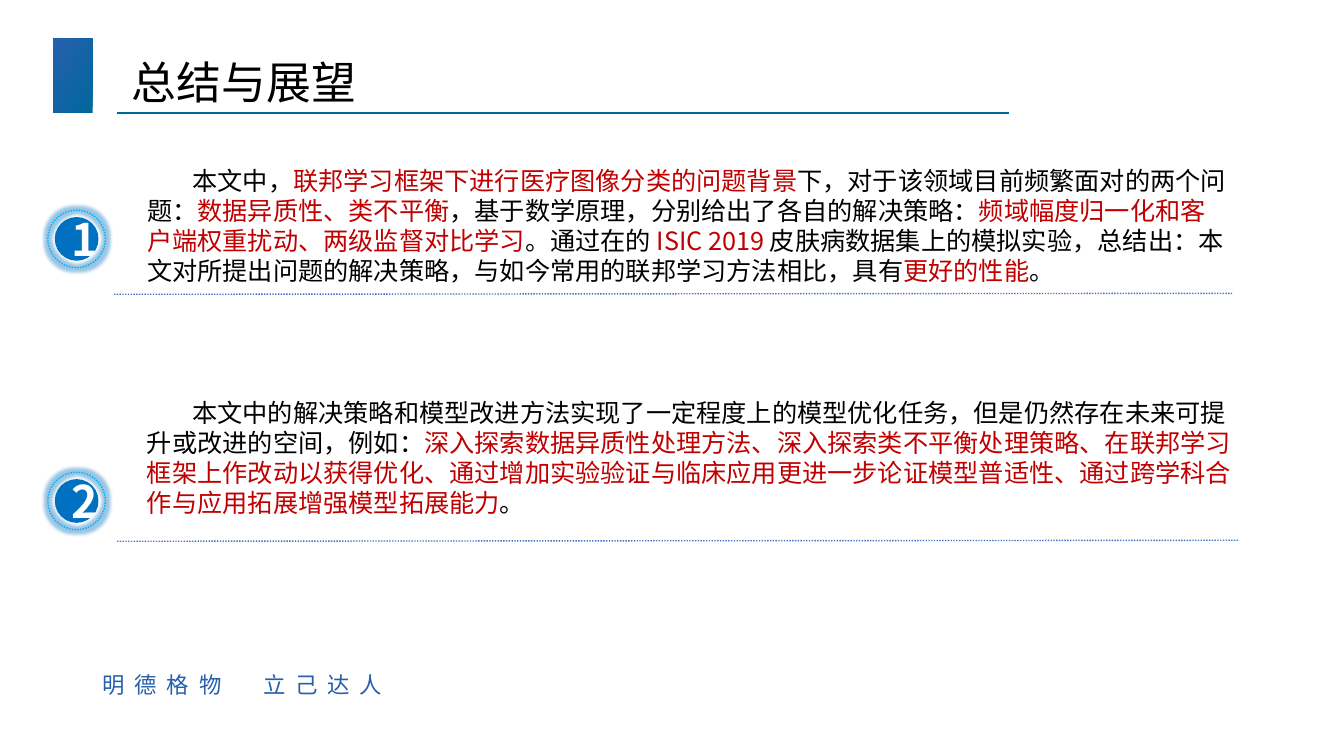
from lxml import etree
from pptx import Presentation
from pptx import util as u
from pptx.dml.color import RGBColor
from pptx.enum import dml, shapes, text
from pptx.oxml.ns import qn

FONT = "Noto Sans CJK SC"
COLORS = {"teal": "00679C", "blue": "2660AD", "disc": "0070C0", "ring": "00B0F0",
          "rule": "4472C4", "black": "000000", "red": "C00000", "white": "FFFFFF"}
TITLE = "总结与展望"
MOTTO = "明德格物　立己达人"
# Each point alternates black and red runs, starting with black.
POINTS = [
    {"marker_top": 2.16, "text_box": (1.36, 1.59, 10.92, 1.31),
     "rule": (1.13, 2.92, 12.22, 2.91),
     "runs": ["本文中，", "联邦学习框架下进行医疗图像分类的问题背景",
              "下，对于该领域目前频繁面对的两个问题：", "数据异质性、类不平衡",
              "，基于数学原理，分别给出了各自的解决策略：",
              "频域幅度归一化和客户端权重扰动、两级监督对比学习",
              "。通过在的 ", "ISIC 2019 ",
              "皮肤病数据集上的模拟实验，总结出：本文对所提出问题的解决策略，"
              "与如今常用的联邦学习方法相比，具有", "更好的性能", "。"]},
    {"marker_top": 4.76, "text_box": (1.36, 3.89, 10.96, 1.31),
     "rule": (1.16, 5.37, 12.28, 5.36),
     "runs": ["本文中的解决策略和模型改进方法实现了一定程度上的模型优化任务，"
              "但是仍然存在未来可提升或改进的空间，例如：",
              "深入探索数据异质性处理方法、深入探索类不平衡处理策略、"
              "在联邦学习框架上作改动以获得优化、"
              "通过增加实验验证与临床应用更进一步论证模型普适性、"
              "通过跨学科合作与应用拓展增强模型拓展能力", "。"]},
]
DISC_LEFT, DISC_SIZE, RING_SIZE = 0.55, 0.42, 0.57
FIRST_INDENT = 0.45


def rgb(name):
    return RGBColor.from_string(COLORS[name])


def inches(values):
    return [u.Inches(v) for v in values]


def set_line(line, color, dotted=False):
    line.color.rgb = rgb(color)
    line.width = u.Pt(1)
    if dotted:
        line.dash_style = dml.MSO_LINE.ROUND_DOT


def add_run(p, words, color, size, bold=False):
    r = p.add_run()
    r.text = words
    for key, value in {"name": FONT, "size": u.Pt(size), "bold": bold}.items():
        setattr(r.font, key, value)
    r.font.color.rgb = rgb(color)
    etree.SubElement(r.font._element, qn("a:ea"), typeface=FONT)
    return r


def add_text(s, box, runs, size, spacing):
    """Add a one-paragraph box; spacing is the line height in points."""
    tf = s.shapes.add_textbox(*inches(box)).text_frame
    tf.word_wrap = True
    p = tf.paragraphs[0]
    p.line_spacing = u.Pt(spacing)
    for words, color in runs:
        add_run(p, words, color, size)
    return p


def add_rule(s, ends, color, dotted=False):
    sp = s.shapes.add_connector(shapes.MSO_CONNECTOR.STRAIGHT, *inches(ends))
    set_line(sp.line, color, dotted)
    etree.SubElement(sp._element.spPr, qn("a:effectLst"))


def add_circle(group, left, top, size, line_color, dotted=False):
    sp = group.shapes.add_shape(shapes.MSO_SHAPE.OVAL, *inches((left, top, size, size)))
    sp.shadow.inherit = False
    set_line(sp.line, line_color, dotted)
    return sp


def add_glow(sp, color, radius, alpha):
    effects = sp._element.spPr.find(qn("a:effectLst"))
    glow = etree.SubElement(effects, qn("a:glow"), rad=str(u.Pt(radius)))
    clr = etree.SubElement(glow, qn("a:srgbClr"), val=COLORS[color])
    etree.SubElement(clr, qn("a:alpha"), val=str(alpha * 1000))


def add_marker(s, number, top):
    group = s.shapes.add_group_shape()
    disc = add_circle(group, DISC_LEFT, top, DISC_SIZE, "disc")
    disc.fill.solid()
    disc.fill.fore_color.rgb = rgb("disc")
    tf = disc.text_frame
    tf.word_wrap = True
    tf.vertical_anchor = text.MSO_ANCHOR.MIDDLE
    p = tf.paragraphs[0]
    p.alignment = text.PP_ALIGN.CENTER
    add_run(p, str(number), "white", 32, bold=True)
    gap = (RING_SIZE - DISC_SIZE) / 2
    ring = add_circle(group, DISC_LEFT - gap, top - gap, RING_SIZE, "ring", dotted=True)
    ring.fill.background()
    add_glow(ring, "disc", 5, 40)


def add_frame(s):
    """Add the title block, its underline and the motto."""
    block = s.shapes.add_shape(shapes.MSO_SHAPE.RECTANGLE, *inches((0.53, 0.38, 0.39, 0.74)))
    block.shadow.inherit = False
    block.line.fill.background()
    block.fill.gradient()
    block.fill.gradient_angle = 145
    for stop, color, position in zip(block.fill.gradient_stops, ("teal", "blue"), (0, 1)):
        stop.color.rgb = rgb(color)
        stop.position = position
    add_rule(s, (1.16, 1.12, 10.01, 1.12), "teal")
    motto = add_text(s, (0.92, 6.58, 3.18, 0.37), [(MOTTO, "blue")], 16, 21)
    motto.runs[0].font._element.set("spc", "700")
    add_text(s, (1.21, 0.44, 4.12, 0.64), [(TITLE, "black")], 32, 42)


def main():
    prs = Presentation()
    prs.slide_width, prs.slide_height = inches((13.33, 7.5))
    s = prs.slides.add_slide(prs.slide_layouts[6])
    add_frame(s)
    for number, point in enumerate(POINTS, 1):
        add_marker(s, number, point["marker_top"])
        add_rule(s, point["rule"], "rule", dotted=True)
        runs = [(words, ("black", "red")[i % 2]) for i, words in enumerate(point["runs"])]
        p = add_text(s, point["text_box"], runs, 18, 21.5)
        p._p.get_or_add_pPr().set("indent", str(u.Inches(FIRST_INDENT)))
    prs.save("out.pptx")


if __name__ == "__main__":
    main()
